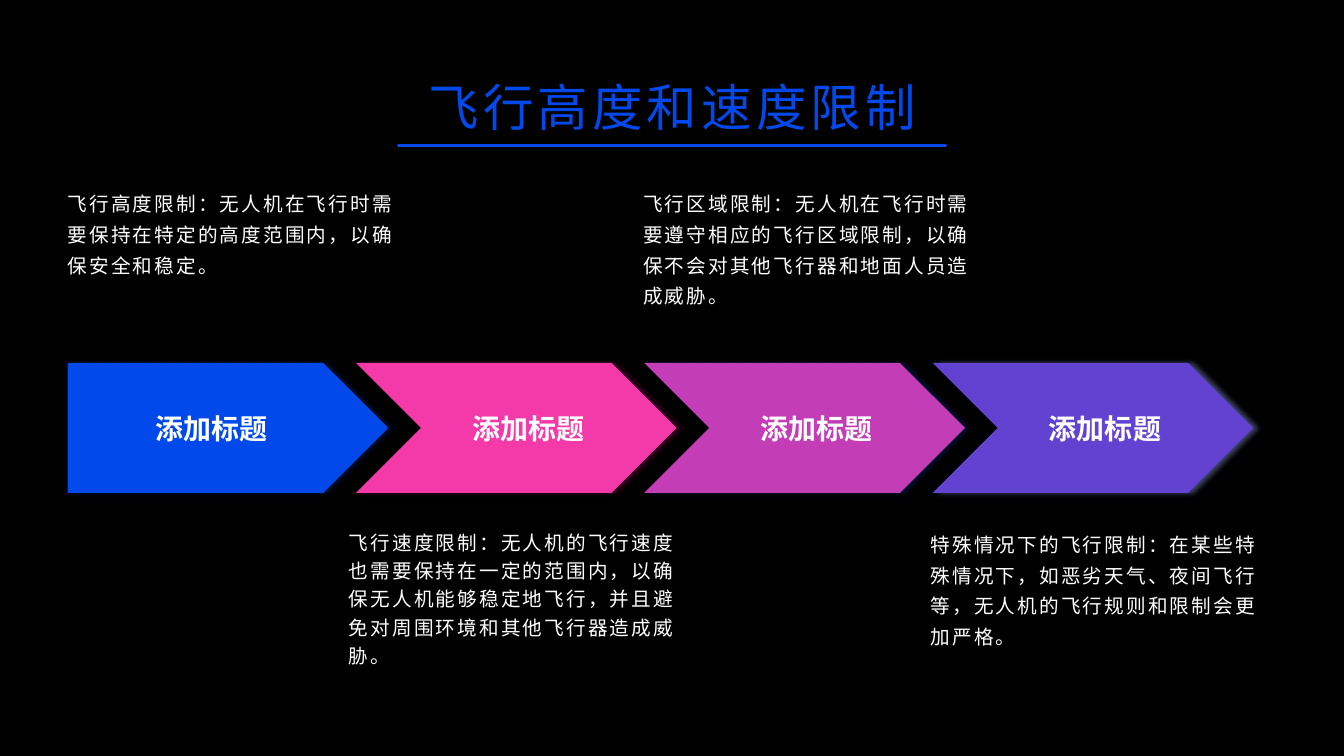
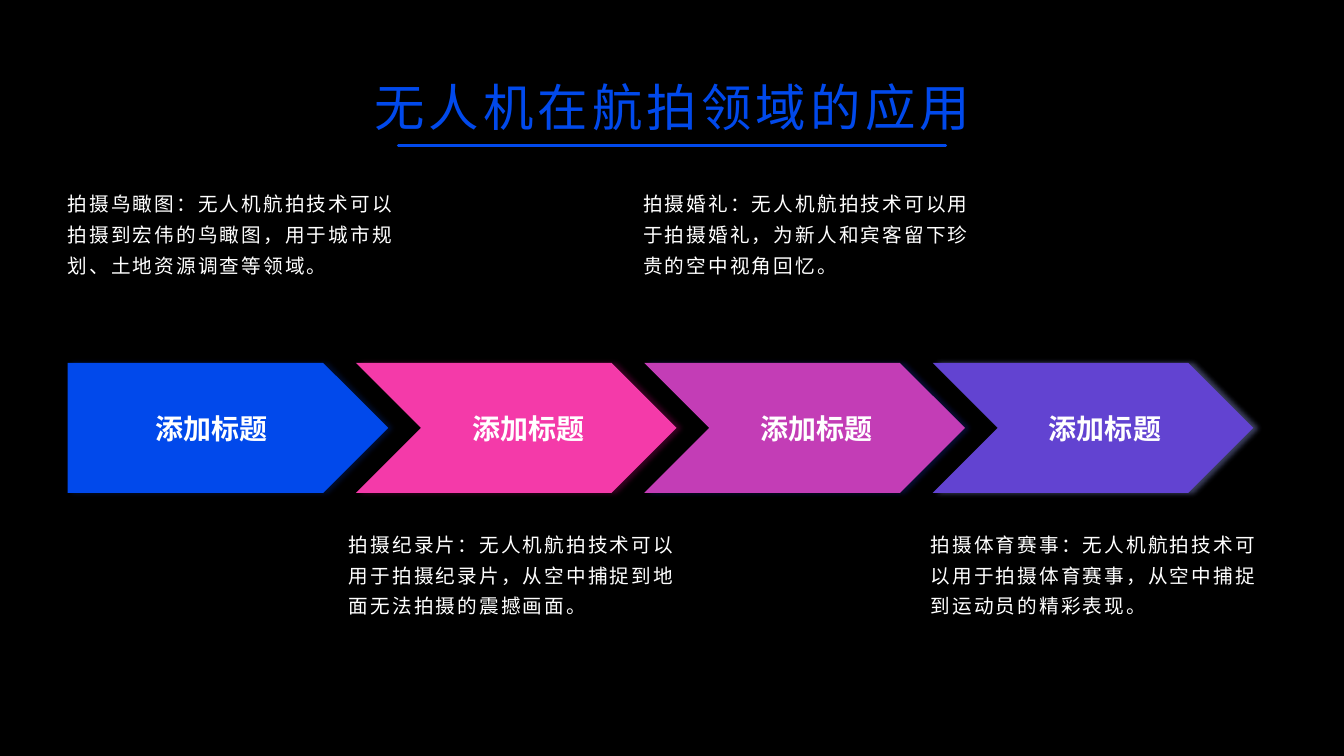
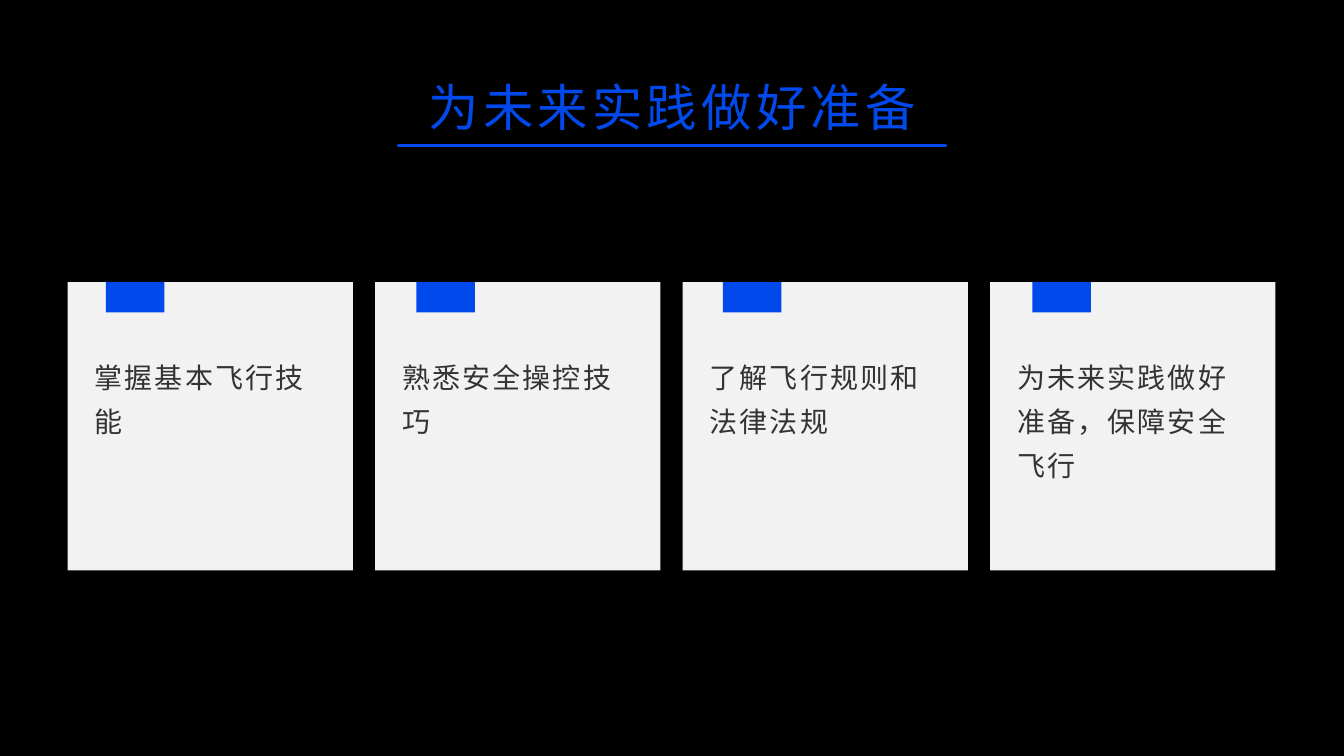
from dataclasses import dataclass

from lxml import etree
from pptx import Presentation
from pptx.dml.color import RGBColor
from pptx.enum import lang, shapes, text
from pptx.oxml import ns
from pptx.util import Inches, Pt


@dataclass(frozen=True)
class Theme:
    font: str = "Roboto"
    background: str = "000000"
    accent: str = "0149EB"
    light: str = "FFFFFF"
    dark: str = "333333"
    card: str = "F2F2F2"
    title_size: int = 36
    heading_size: int = 20
    body_size: int = 14


THEME = Theme()
MARGIN = 0.67
LABEL = "添加标题"

ARROW_STEP, ARROW_TOP, ARROW_WIDTH, ARROW_HEIGHT = 2.86, 3.6, 3.18, 1.29
ARROWS = [
    ("0149EB", "002476"),
    ("F43AA9", "8F0859"),
    ("C33DB6", "162385"),
    ("6243D1", "98A2EE"),
]
CAPTION_LEFTS = [0.67, 3.46, 6.38, 9.23]
CAPTION_WIDTH, CAPTION_HEIGHT = 3.43, 1.5
CAPTION_TOPS = [1.79, 5.17]

CARD_STEP, CARD_TOP, CARD_WIDTH, CARD_HEIGHT = 3.05, 2.8, 2.83, 2.86

ARROW_SLIDES = [
    ("飞行高度和速度限制", [
        ("飞行高度限制：无人机在飞行时需要保持在特定的高度范围内，以确保安全和稳定。", 1.3),
        ("飞行速度限制：无人机的飞行速度也需要保持在一定的范围内，以确保无人机能够稳定地飞行，并且避免对周围环境和其他飞行器造成威胁。", 1.2),
        ("飞行区域限制：无人机在飞行时需要遵守相应的飞行区域限制，以确保不会对其他飞行器和地面人员造成威胁。", 1.3),
        ("特殊情况下的飞行限制：在某些特殊情况下，如恶劣天气、夜间飞行等，无人机的飞行规则和限制会更加严格。", 1.3),
    ]),
    ("无人机在航拍领域的应用", [
        ("拍摄鸟瞰图：无人机航拍技术可以拍摄到宏伟的鸟瞰图，用于城市规划、土地资源调查等领域。", 1.3),
        ("拍摄纪录片：无人机航拍技术可以用于拍摄纪录片，从空中捕捉到地面无法拍摄的震撼画面。", 1.3),
        ("拍摄婚礼：无人机航拍技术可以用于拍摄婚礼，为新人和宾客留下珍贵的空中视角回忆。", 1.3),
        ("拍摄体育赛事：无人机航拍技术可以用于拍摄体育赛事，从空中捕捉到运动员的精彩表现。", 1.3),
    ]),
]
CARDS_TITLE = "为未来实践做好准备"
CARDS = [
    ("掌握基本飞行技能", 1.05),
    ("熟悉安全操控技巧", 4.13),
    ("了解飞行规则和法律法规", 7.17),
    ("为未来实践做好准备，保障安全飞行", 10.24),
]


def write(box, words, *, size, color, bold=False, align=text.PP_ALIGN.LEFT,
          anchor=text.MSO_ANCHOR.TOP, insets=(0.1, 0.05, 0.1, 0.05),
          line_spacing=1.0, space_after=0, letter_spacing=0):
    frame = box.text_frame
    frame.word_wrap = True
    frame.vertical_anchor = anchor
    (frame.margin_left, frame.margin_top,
     frame.margin_right, frame.margin_bottom) = map(Inches, insets)
    para = frame.paragraphs[0]
    para.alignment = align
    para.line_spacing = line_spacing
    para.space_after = Pt(space_after)
    span = para.add_run()
    span.text = words
    font = span.font
    font.name = THEME.font
    font.size = Pt(size)
    font.bold = bold
    font.color.rgb = RGBColor.from_string(color)
    font.language_id = lang.MSO_LANGUAGE_ID.SIMPLIFIED_CHINESE
    properties = span._r.get_or_add_rPr()
    properties.set("spc", str(int(letter_spacing * 100)))
    properties.find(ns.qn("a:latin")).addnext(
        etree.Element(ns.qn("a:ea"), typeface=THEME.font))


def add_text(page, area, words, **style):
    box = page.shapes.add_textbox(*map(Inches, area))
    write(box, words, **style)


def add_block(page, kind, area, color):
    block = page.shapes.add_shape(kind, *map(Inches, area))
    block.shadow.inherit = False
    block.fill.solid()
    block.fill.fore_color.rgb = RGBColor.from_string(color)
    block.line.fill.background()
    return block


def add_shadow(block, color):
    effects = block._element.spPr.find(ns.qn("a:effectLst"))
    shadow = etree.SubElement(
        effects, ns.qn("a:outerShdw"), blurRad=str(Pt(4)), dist=str(Pt(3)),
        dir="0", algn="l", rotWithShape="0")
    tint = etree.SubElement(shadow, ns.qn("a:srgbClr"), val=color)
    etree.SubElement(tint, ns.qn("a:alpha"), val="40000")


def add_page(deck, title):
    page = deck.slides.add_slide(deck.slide_layouts[6])
    rule = page.shapes.add_connector(
        shapes.MSO_CONNECTOR.STRAIGHT,
        Inches(3.95), Inches(1.44), Inches(9.38), Inches(1.44))
    rule.line.color.rgb = RGBColor.from_string(THEME.accent)
    rule.line.width = Pt(2)
    rule.line._get_or_add_ln().set("cap", "rnd")
    etree.SubElement(rule._element.spPr, ns.qn("a:effectLst"))
    add_text(page, (MARGIN, 0.67, 12, 0.77), title,
             size=THEME.title_size, color=THEME.accent, letter_spacing=3,
             align=text.PP_ALIGN.CENTER, anchor=text.MSO_ANCHOR.MIDDLE)
    return page


def add_arrow_page(deck, title, captions):
    page = add_page(deck, title)
    for index, (fill, shadow) in enumerate(ARROWS):
        first = index == 0
        kind = shapes.MSO_SHAPE.PENTAGON if first else shapes.MSO_SHAPE.CHEVRON
        left = MARGIN + index * ARROW_STEP
        arrow = add_block(page, kind, (left, ARROW_TOP, ARROW_WIDTH, ARROW_HEIGHT), fill)
        add_shadow(arrow, shadow)
        write(arrow, LABEL, size=THEME.heading_size, color=THEME.light, bold=True,
              align=text.PP_ALIGN.CENTER, anchor=text.MSO_ANCHOR.MIDDLE,
              insets=(0.1, 0.05, 0.1, 0.05) if first else (0.24, 0.05, 0, 0.05))
    for index, (words, spacing) in enumerate(captions):
        area = (CAPTION_LEFTS[index], CAPTION_TOPS[index % 2], CAPTION_WIDTH, CAPTION_HEIGHT)
        add_text(page, area, words, size=THEME.body_size, color=THEME.light,
                 insets=(0, 0.05, 0.1, 0.05), line_spacing=spacing,
                 space_after=10, letter_spacing=1.5)


def add_card_page(deck):
    page = add_page(deck, CARDS_TITLE)
    rectangle = shapes.MSO_SHAPE.RECTANGLE
    for index, (words, tab_left) in enumerate(CARDS):
        left = MARGIN + index * CARD_STEP
        add_block(page, rectangle, (left, CARD_TOP, CARD_WIDTH, CARD_HEIGHT), THEME.card)
        add_block(page, rectangle, (tab_left, CARD_TOP, 0.58, 0.3), THEME.accent)
        add_text(page, (left + 0.17, 3.43, 2.49, 2.01), words,
                 size=THEME.heading_size, color=THEME.dark,
                 line_spacing=1.3, letter_spacing=1.5)


def main():
    deck = Presentation()
    deck.slide_width, deck.slide_height = Inches(13.33), Inches(7.5)
    backdrop = deck.slide_master.background.fill
    backdrop.solid()
    backdrop.fore_color.rgb = RGBColor.from_string(THEME.background)
    for title, captions in ARROW_SLIDES:
        add_arrow_page(deck, title, captions)
    add_card_page(deck)
    deck.save("out.pptx")


if __name__ == "__main__":
    main()
